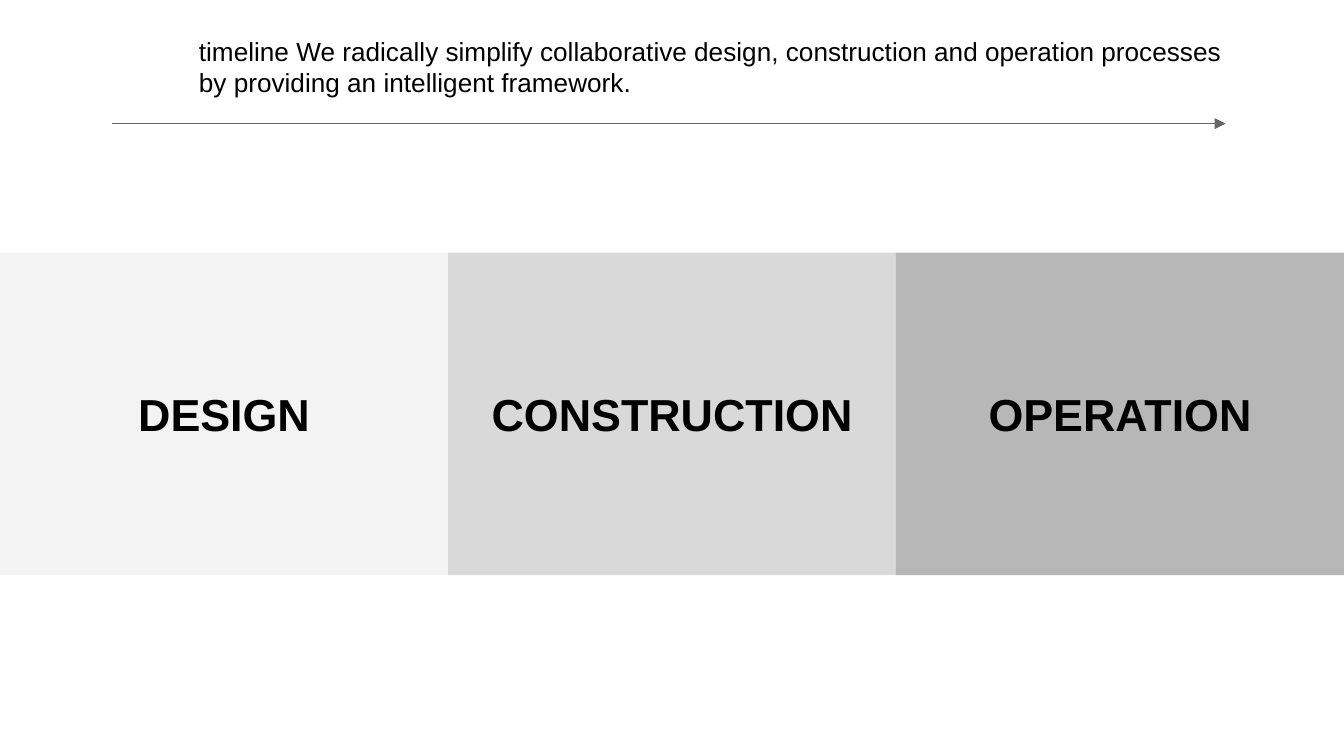
from pptx import Presentation
from pptx.dml.color import RGBColor
from pptx.enum.shapes import MSO_CONNECTOR, MSO_SHAPE
from pptx.enum.text import MSO_ANCHOR, MSO_AUTO_SIZE, PP_ALIGN
from pptx.oxml.ns import qn
from pptx.util import Inches, Pt
from lxml import etree

RECT = MSO_SHAPE.RECTANGLE
STRAIGHT = MSO_CONNECTOR.STRAIGHT
TOP, MIDDLE = MSO_ANCHOR.TOP, MSO_ANCHOR.MIDDLE
LEFT, CENTER = PP_ALIGN.LEFT, PP_ALIGN.CENTER
FIXED = MSO_AUTO_SIZE.NONE

INTRO = ("timeline We radically simplify collaborative design, construction "
         "and operation processes by providing an intelligent framework.")
PHASES = [("DESIGN", "F3F3F3"), ("CONSTRUCTION", "D9D9D9"), ("OPERATION", "B7B7B7")]
THEME = {"font": "Arial", "ink": "000000", "line": "666666",
         "intro": 14, "phase": 24, "inset": 0.1}
WIDTH = 10
HEIGHT = WIDTH * 9 / 16
BAND_TOP, BAND_HIGH = 1.88, 2.4


def write(shape, text, size, bold, align, anchor):
    """Fill a shape with one styled paragraph."""
    frame = shape.text_frame
    frame.text = text
    frame.word_wrap = True
    frame.auto_size = FIXED
    frame.vertical_anchor = anchor
    inset = Inches(THEME["inset"])
    frame.margin_left = frame.margin_right = inset
    frame.margin_top = frame.margin_bottom = inset
    para = frame.paragraphs[0]
    para.alignment = align
    font = para.runs[0].font
    font.name, font.size, font.bold = THEME["font"], Pt(size), bold
    font.color.rgb = RGBColor.from_string(THEME["ink"])


def add_intro(slide):
    """Place the intro sentence in the title placeholder."""
    title = slide.shapes.title
    title.left, title.top = Inches(1.38), Inches(0.16)
    title.width, title.height = Inches(7.95), Inches(0.43)
    write(title, INTRO, THEME["intro"], False, LEFT, TOP)


def add_arrow(slide):
    """Draw the timeline arrow."""
    y = Inches(0.92)
    arrow = slide.shapes.add_connector(STRAIGHT, Inches(0.83), y, Inches(9.12), y)
    arrow.line.color.rgb = RGBColor.from_string(THEME["line"])
    arrow.line.width = Pt(0.75)
    line = arrow._element.spPr.find(qn("a:ln"))
    etree.SubElement(line, qn("a:tailEnd"), type="triangle")
    etree.SubElement(arrow._element.spPr, qn("a:effectLst"))


def add_phases(slide):
    """Split the full width evenly among the phases."""
    wide = WIDTH / len(PHASES)
    for i, (name, fill) in enumerate(PHASES):
        box = slide.shapes.add_shape(RECT, Inches(i * wide), Inches(BAND_TOP),
                                     Inches(wide), Inches(BAND_HIGH))
        box.shadow.inherit = False
        box.fill.solid()
        box.fill.fore_color.rgb = RGBColor.from_string(fill)
        box.line.fill.background()
        write(box, name, THEME["phase"], True, CENTER, MIDDLE)


def main():
    """Build and save the slide."""
    deck = Presentation()
    deck.slide_width, deck.slide_height = Inches(WIDTH), Inches(HEIGHT)
    slide = deck.slides.add_slide(deck.slide_layouts.get_by_name("Title Only"))
    add_phases(slide)
    add_arrow(slide)
    add_intro(slide)
    deck.save("out.pptx")


if __name__ == "__main__":
    main()
